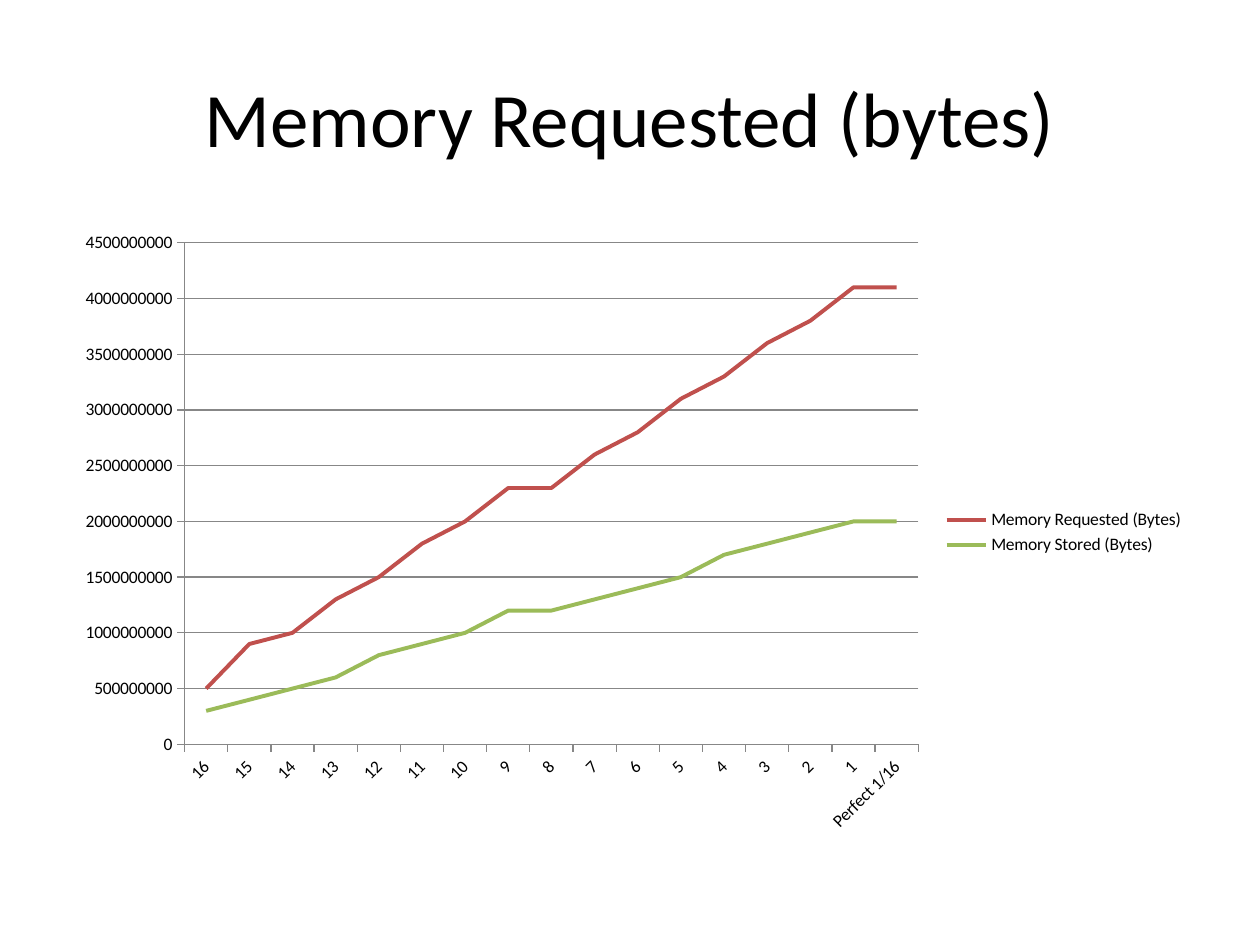
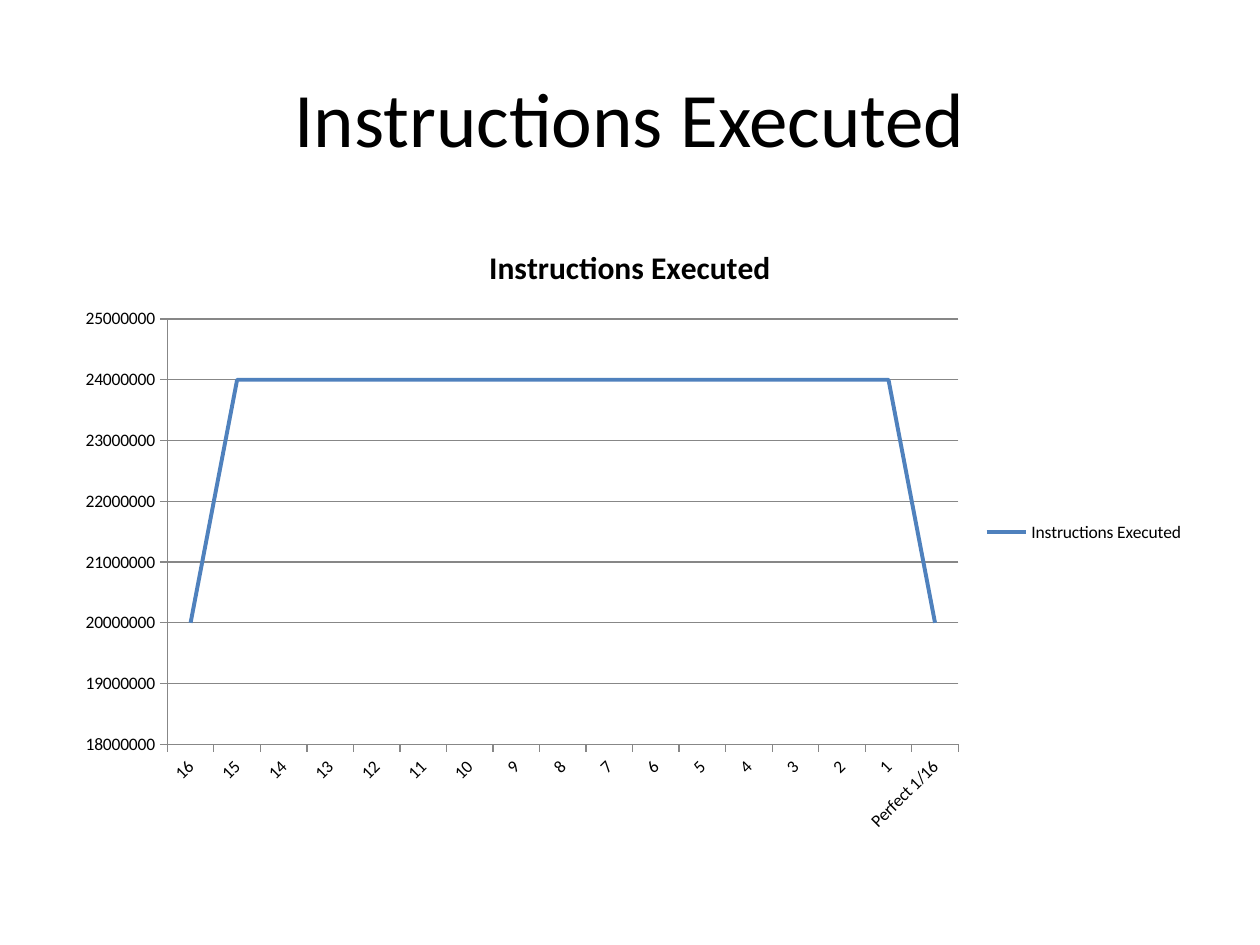
"""Build two slides of line charts on memory requests and executed instructions."""
from dataclasses import dataclass

from pptx import Presentation
from pptx.chart.data import CategoryChartData
from pptx.dml.color import RGBColor
from pptx.enum.chart import XL_CHART_TYPE as ChartType
from pptx.enum.chart import XL_LEGEND_POSITION as LegendPosition
from pptx.enum.chart import XL_TICK_MARK as TickMark
from pptx.enum.text import MSO_ANCHOR as Anchor
from pptx.enum.text import PP_ALIGN as Align
from pptx.util import Pt


@dataclass(frozen=True)
class Theme:
    font: str = "Calibri"
    ink: str = "000000"
    grid: str = "878787"
    blue: str = "4F81BD"
    red: str = "C0504D"
    green: str = "9BBB59"
    heading_size: float = 44
    chart_title_size: float = 18
    label_size: float = 10
    series_width: float = 2.25
    grid_width: float = 0.75


@dataclass(frozen=True)
class Box:
    left: float
    top: float
    width: float
    height: float

    def lengths(self) -> tuple:
        return Pt(self.left), Pt(self.top), Pt(self.width), Pt(self.height)


@dataclass(frozen=True)
class Series:
    name: str
    values: list[int]
    color: str


@dataclass(frozen=True)
class ChartSlide:
    heading: str
    series: list[Series]
    chart_title: str = ""


THEME = Theme()
HEADING_BOX = Box(36, 21.6, 648, 90)
CHART_BOX = Box(36, 126, 648, 356.4)
CATEGORIES = [str(n) for n in range(16, 0, -1)] + ["Perfect 1/16"]
HUNDRED_MILLION = 100_000_000
MILLION = 1_000_000

REQUESTED = [5, 9, 10, 13, 15, 18, 20, 23, 23, 26, 28, 31, 33, 36, 38, 41, 41]
STORED = [3, 4, 5, 6, 8, 9, 10, 12, 12, 13, 14, 15, 17, 18, 19, 20, 20]
EXECUTED = [20] + [24] * 15 + [20]

SLIDES = [
    ChartSlide("Memory Requested (bytes)", [
        Series("Memory Requested (Bytes)", [v * HUNDRED_MILLION for v in REQUESTED], THEME.red),
        Series("Memory Stored (Bytes)", [v * HUNDRED_MILLION for v in STORED], THEME.green),
    ]),
    ChartSlide("Instructions Executed", [
        Series("Instructions Executed", [v * MILLION for v in EXECUTED], THEME.blue),
    ], chart_title="Instructions Executed"),
]


def style_font(font, *, size: float, bold: bool = False, color: str = THEME.ink) -> None:
    font.name = THEME.font
    font.size = Pt(size)
    font.bold = bold
    font.color.rgb = RGBColor.from_string(color)


def style_line(line, *, color: str, width: float) -> None:
    line.color.rgb = RGBColor.from_string(color)
    line.width = Pt(width)


def write_text(frame, text: str, *, size: float, bold: bool = False, align=Align.CENTER) -> None:
    paragraph = frame.paragraphs[0]
    paragraph.alignment = align
    run = paragraph.add_run()
    run.text = text
    style_font(run.font, size=size, bold=bold)


def add_heading(slide, heading: str) -> None:
    frame = slide.shapes.add_textbox(*HEADING_BOX.lengths()).text_frame
    frame.word_wrap = True
    frame.vertical_anchor = Anchor.MIDDLE
    write_text(frame, heading, size=THEME.heading_size)


def add_line_chart(slide, content: ChartSlide) -> None:
    data = CategoryChartData()
    data.categories = CATEGORIES
    for series in content.series:
        data.add_series(series.name, series.values)
    chart = slide.shapes.add_chart(ChartType.LINE, *CHART_BOX.lengths(), data).chart
    style_font(chart.font, size=THEME.label_size)

    chart.has_title = bool(content.chart_title)
    if content.chart_title:
        write_text(chart.chart_title.text_frame, content.chart_title,
                   size=THEME.chart_title_size, bold=True)

    chart.has_legend = True
    chart.legend.position = LegendPosition.RIGHT
    chart.legend.include_in_layout = False

    chart.value_axis.has_major_gridlines = True
    axis_lines = [chart.value_axis.major_gridlines.format.line]
    for axis in (chart.category_axis, chart.value_axis):
        axis.major_tick_mark = TickMark.OUTSIDE
        axis.minor_tick_mark = TickMark.NONE
        axis_lines.append(axis.format.line)
    for line in axis_lines:
        style_line(line, color=THEME.grid, width=THEME.grid_width)

    plot = chart.plots[0]
    plot.vary_by_categories = False
    for drawn, series in zip(plot.series, content.series):
        drawn.smooth = False
        style_line(drawn.format.line, color=series.color, width=THEME.series_width)


def main() -> None:
    deck = Presentation()
    deck.slide_width, deck.slide_height = Pt(720), Pt(540)
    blank = deck.slide_layouts[6]
    for content in SLIDES:
        slide = deck.slides.add_slide(blank)
        add_heading(slide, content.heading)
        add_line_chart(slide, content)
    deck.save("out.pptx")


if __name__ == "__main__":
    main()
